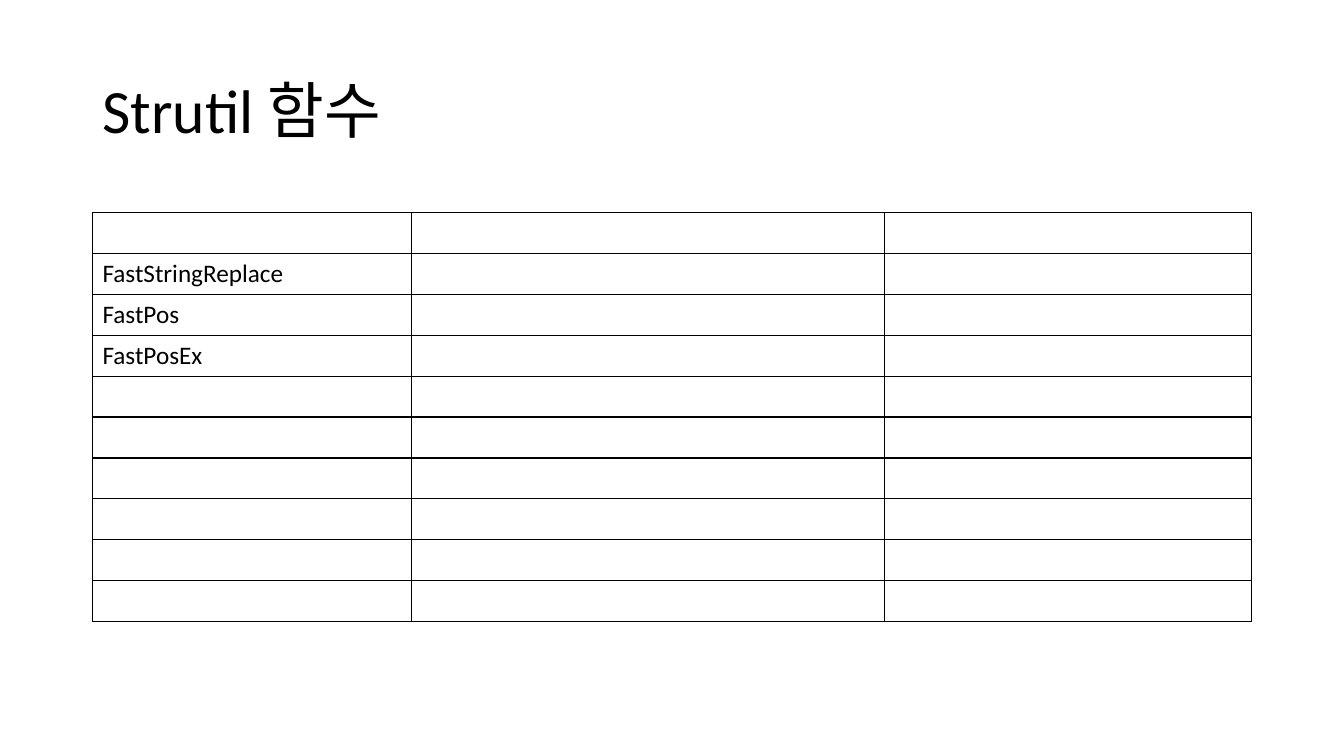
import pptx
import pptx.util
import pptx.dml.color
import pptx.enum.text
import pptx.oxml.ns
import lxml.etree

Cm, Pt = pptx.util.Cm, pptx.util.Pt
COLORS = {"text": "000000", "border": "000000", "cell": "FFFFFF"}
FONT = "Calibri"
FUNCTIONS = ["FastStringReplace", "FastPos", "FastPosEx"]
ROW_COUNT = 10
COLUMN_WIDTHS = [8.03, 11.94, 9.24]


def rgb(name):
    """Return the named colour."""
    return pptx.dml.color.RGBColor.from_string(COLORS[name])


def style_paragraph(p, size):
    """Apply the slide font to a paragraph's runs."""
    for r in p.runs:
        r.font.name = FONT
        r.font.size = Pt(size)
        r.font.color.rgb = rgb("text")


def set_borders(cell, width):
    """Draw a solid line on all four sides of a cell."""
    qn = pptx.oxml.ns.qn
    tcPr = cell._tc.get_or_add_tcPr()
    for side in ("a:lnL", "a:lnR", "a:lnT", "a:lnB"):
        ln = lxml.etree.SubElement(tcPr, qn(side), w=str(Pt(width)))
        fill = lxml.etree.SubElement(ln, qn("a:solidFill"))
        lxml.etree.SubElement(fill, qn("a:srgbClr"), val=COLORS["border"])


def add_title(s, text, left, top, width, height):
    """Place and format the slide title in the given box."""
    sp = s.shapes.title
    sp.left, sp.top, sp.width, sp.height = Cm(left), Cm(top), Cm(width), Cm(height)
    tf = sp.text_frame
    tf.text = text
    tf.vertical_anchor = pptx.enum.text.MSO_ANCHOR.MIDDLE
    p = tf.paragraphs[0]
    p.alignment = pptx.enum.text.PP_ALIGN.LEFT
    p.line_spacing = 0.9
    style_paragraph(p, 44)


def add_function_table(s, names, left, top, width, height):
    """Add the bordered table with function names below an empty header row."""
    table = s.shapes.add_table(ROW_COUNT, len(COLUMN_WIDTHS), Cm(left), Cm(top),
                               Cm(width), Cm(height)).table
    table.first_row = False
    table.horz_banding = False
    for column, share in zip(table.columns, COLUMN_WIDTHS):
        column.width = Cm(width * share / sum(COLUMN_WIDTHS))
    for row in table.rows:
        row.height = Cm(height / ROW_COUNT)
    for cell in table.iter_cells():
        set_borders(cell, 1)
        cell.fill.solid()
        cell.fill.fore_color.rgb = rgb("cell")
    for i, name in enumerate(names, start=1):
        tf = table.cell(i, 0).text_frame
        tf.text = name
        style_paragraph(tf.paragraphs[0], 18)


def main():
    """Build and save the presentation."""
    prs = pptx.Presentation()
    prs.slide_width, prs.slide_height = Cm(33.87), Cm(19.05)
    s = prs.slides.add_slide(prs.slide_layouts[5])
    add_title(s, "Strutil 함수", 2.33, 1.01, 29.21, 3.68)
    add_function_table(s, FUNCTIONS, 2.33, 5.36, 29.21, 10.3)
    prs.save("out.pptx")


main()
